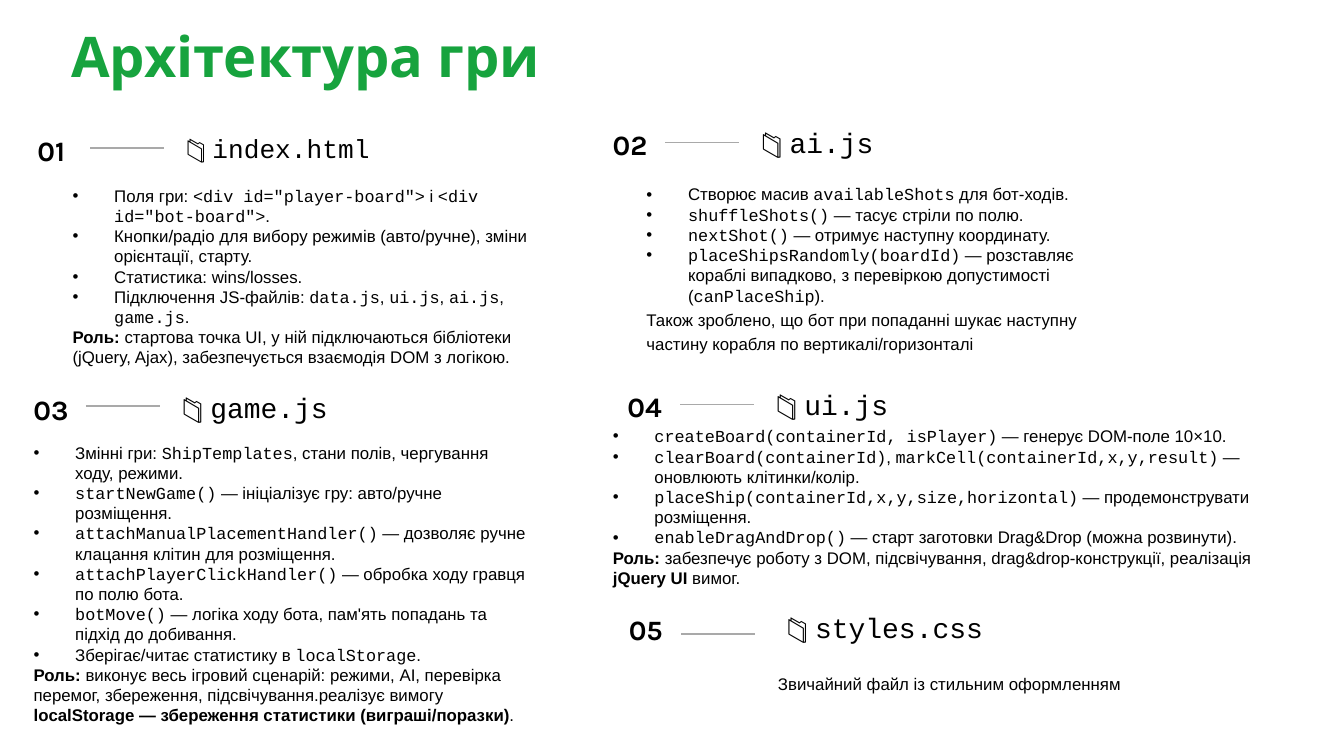
from lxml.etree import SubElement
from pptx import Presentation
from pptx.dml.color import RGBColor
from pptx.enum.shapes import MSO_CONNECTOR
from pptx.enum.text import MSO_ANCHOR, MSO_AUTO_SIZE, PP_ALIGN
from pptx.oxml.ns import qn
from pptx.util import Pt

PX = 9144  # 100 px to the inch
WIDTH = 1000
COLORS = {"title": "17A33E", "text": "000000", "rule": "A9A9A9"}
HEAD, BODY, CODE = "Karla", "Arial", "Courier New"
INDENT, INSET = 31, 10

# Inside the text, `...` marks code and *...* marks bold.
TITLE = "Архітектура гри"
FILES = [
    {"name": "index.html", "size": 14, "at": (18, 89), "rule": 21, "gap": 111,
     "box": (44, 105, 364, 43), "top": 33, "spacing": 1.0,
     "list": [
         'Поля гри: `<div id="player-board">` і `<div id="bot-board">`.',
         "Кнопки/радіо для вибору режимів (авто/ручне), зміни орієнтації, старту.",
         "Статистика: wins/losses.",
         "Підключення JS-файлів: `data.js`, `ui.js`, `ai.js`, `game.js`."],
     "note": "*Роль:* стартова точка UI, у ній підключаються бібліотеки (jQuery, Ajax), "
             "забезпечується взаємодія DOM з логікою."},
    {"name": "ai.js", "size": 15, "at": (446, 85), "rule": 21, "gap": 111,
     "box": (471, 127, 364, 42), "top": INSET, "spacing": 1.2,
     "list": [
         "Створює масив `availableShots` для бот-ходів.",
         "`shuffleShots()` — тасує стріли по полю.",
         "`nextShot()` — отримує наступну координату.",
         "`placeShipsRandomly(boardId)` — розставляє кораблі випадково, "
         "з перевіркою допустимості (`canPlaceShip`)."],
     "note": "Також зроблено, що бот при попаданні шукає наступну частину корабля "
             "по вертикалі/горизонталі"},
    {"name": "game.js", "size": 15, "at": (15, 282), "rule": 20, "gap": 111,
     "box": (15, 319, 389, 42), "top": INSET, "spacing": 1.0,
     "list": [
         "Змінні гри: `ShipTemplates`, стани полів, чергування ходу, режими.",
         "`startNewGame()` — ініціалізує гру: авто/ручне розміщення.",
         "`attachManualPlacementHandler()` — дозволяє ручне клацання клітин для розміщення.",
         "`attachPlayerClickHandler()` — обробка ходу гравця по полю бота.",
         "`botMove()` — логіка ходу бота, пам'ять попадань та підхід до добивання.",
         "Зберігає/читає статистику в `localStorage`."],
     "note": "*Роль:* виконує весь ігровий сценарій: режими, AI, перевірка перемог, "
             "збереження, підсвічування.реалізує вимогу "
             "*localStorage — збереження статистики (виграші/поразки)*."},
    {"name": "ui.js", "size": 15, "at": (457, 280), "rule": 21, "gap": 111,
     "box": (446, 307, 508, 42), "top": INSET, "spacing": 1.0,
     "list": [
         "`createBoard(containerId, isPlayer)` — генерує DOM-поле 10×10.",
         "`clearBoard(containerId)`, `markCell(containerId,x,y,result)` — "
         "оновлюють клітинки/колір.",
         "`placeShip(containerId,x,y,size,horizontal)` — продемонструвати розміщення.",
         "`enableDragAndDrop()` — старт заготовки Drag&Drop (можна розвинути)."],
     "note": "*Роль:* забезпечує роботу з DOM, підсвічування, drag&drop-конструкції, "
             "реалізація *jQuery UI* вимог."},
    {"name": "styles.css", "size": 15, "at": (458, 446), "rule": 26, "gap": 118,
     "box": (569, 488, 278, 42), "top": INSET, "spacing": 1.2,
     "list": [], "note": "Звичайний файл із стильним оформленням"},
]


def color(name):
    return RGBColor.from_string(COLORS[name])


def place(shape, box, anchor=MSO_ANCHOR.TOP, top=INSET):
    """Move a text shape, set its frame and return the frame."""
    shape.left, shape.top, shape.width, shape.height = (n * PX for n in box)
    frame = shape.text_frame
    frame.word_wrap = True
    frame.auto_size = MSO_AUTO_SIZE.NONE
    frame.vertical_anchor = anchor
    frame.margin_left = frame.margin_right = frame.margin_bottom = INSET * PX
    frame.margin_top = top * PX
    return frame


def write(para, text, size, face=BODY, bold=False, tint="text"):
    """Add the marked-up text to a paragraph as formatted runs."""
    para.alignment = PP_ALIGN.LEFT
    for i, part in enumerate(text.split("`")):
        for j, piece in enumerate(part.split("*")):
            if piece:
                run = para.add_run()
                run.text = piece
                font = run.font
                font.name = CODE if i % 2 else face
                font.size = Pt(size)
                font.bold = bold or j % 2 == 1
                font.color.rgb = color(tint)


def label(box, text, size, anchor, **style):
    frame = place(slide.shapes.add_textbox(0, 0, 0, 0), box, anchor)
    write(frame.paragraphs[0], text, size, **style)


def bullet(para, shown):
    props = para._p.get_or_add_pPr()
    props.set("marL", str(INDENT * PX if shown else 0))
    props.set("indent", str(-INDENT * PX if shown else 0))
    if shown:
        tint = SubElement(props, qn("a:buClr"))
        SubElement(tint, qn("a:srgbClr")).set("val", COLORS["text"])
        SubElement(props, qn("a:buFont")).set("typeface", BODY)
        SubElement(props, qn("a:buChar")).set("char", "•")
    else:
        SubElement(props, qn("a:buNone"))


def rule(x, y, length):
    line = slide.shapes.add_connector(
        MSO_CONNECTOR.STRAIGHT, x * PX, y * PX, (x + length) * PX, y * PX)
    line.line.color.rgb = color("rule")
    line.line.width = Pt(1)
    SubElement(line._element.spPr, qn("a:effectLst"))


def fill(shape, file):
    """Write the list and closing note of a file."""
    frame = place(shape, file["box"], top=file["top"])
    texts = file["list"] + [file["note"]]
    for i, text in enumerate(texts):
        para = frame.add_paragraph() if i else frame.paragraphs[0]
        listed = i < len(file["list"])
        para.line_spacing = 1.0 if listed else file["spacing"]
        para.space_before = Pt(0)
        bullet(para, listed)
        write(para, text, 9)


deck = Presentation()
deck.slide_width = WIDTH * PX
deck.slide_height = WIDTH * PX * 9 // 16
slide = deck.slides.add_slide(deck.slide_layouts.get_by_name("Comparison"))
bodies = [p for p in slide.placeholders if p.placeholder_format.idx]

title = place(slide.shapes.title, (43, 20, 903, 56), MSO_ANCHOR.BOTTOM)
write(title.paragraphs[0], TITLE, 30, face=HEAD, bold=True, tint="title")

for i, file in enumerate(FILES):
    x, y = file["at"]
    label((x, y, 49, 42), f"{i + 1:02}", 15, MSO_ANCHOR.TOP, face=HEAD, bold=True)
    rule(x + 49, y + file["rule"], 55)
    label((x + file["gap"], y, 278, 42), f"📁 `{file['name']}`", file["size"],
          MSO_ANCHOR.MIDDLE)
    fill(bodies[i] if file["list"] else slide.shapes.add_textbox(0, 0, 0, 0), file)

deck.save("out.pptx")
